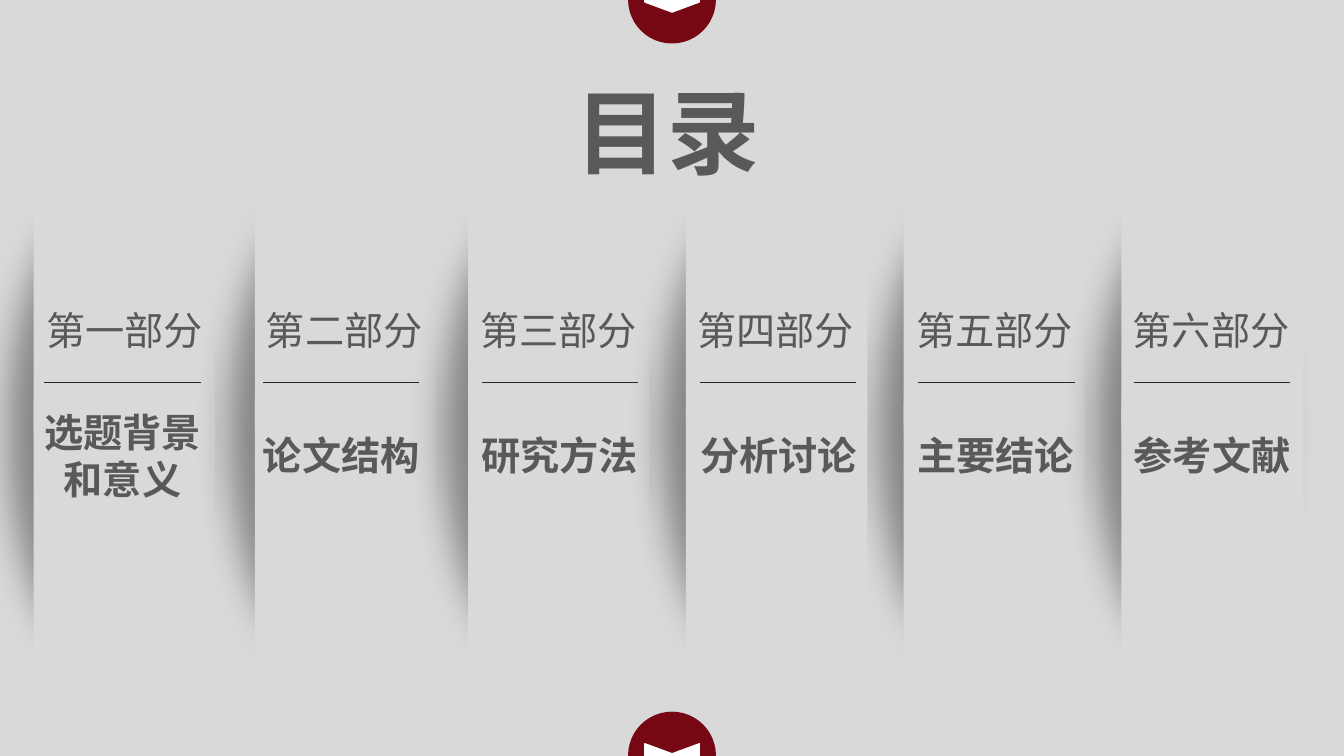
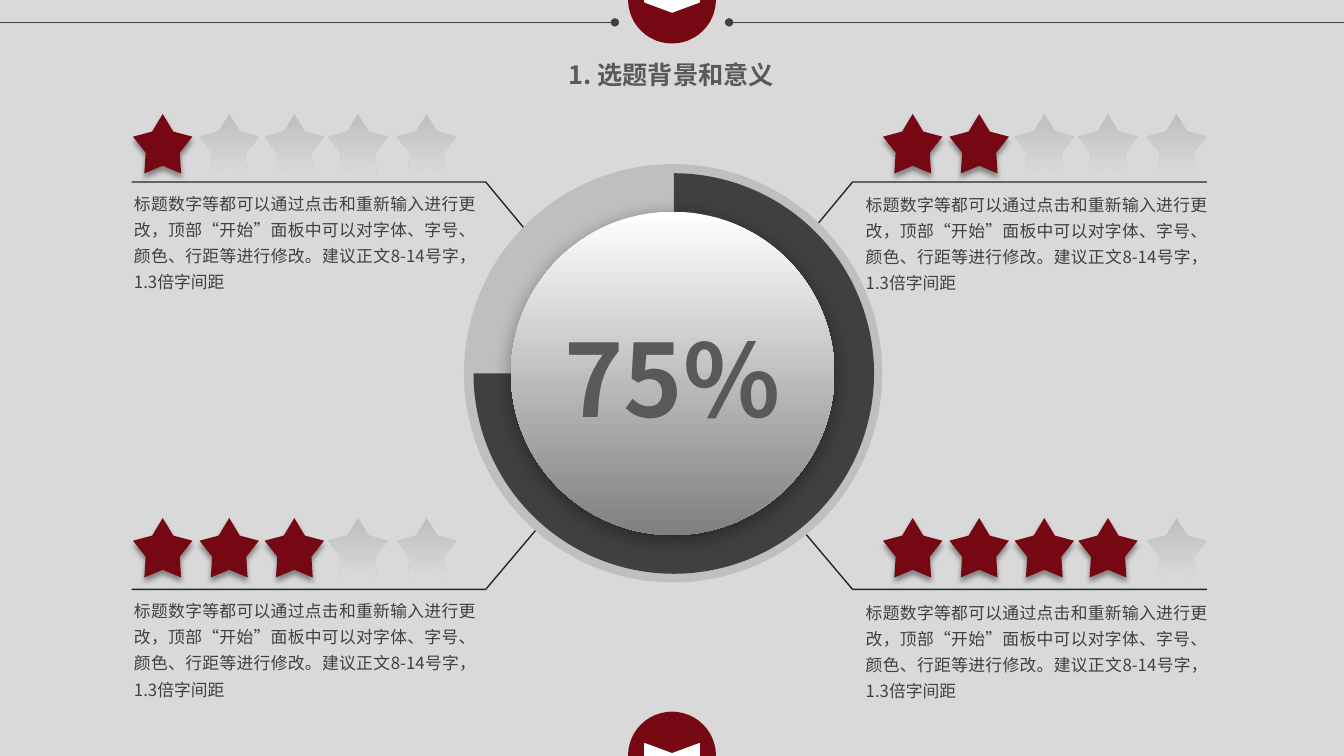
import lxml.etree
import pptx
import pptx.chart.data
import pptx.dml.color
import pptx.enum.chart
import pptx.enum.shapes
import pptx.enum.text
import pptx.oxml.ns
import pptx.util

Pt = pptx.util.Pt
qn = pptx.oxml.ns.qn
RGBColor = pptx.dml.color.RGBColor
MSO_SHAPE = pptx.enum.shapes.MSO_SHAPE
PP_ALIGN = pptx.enum.text.PP_ALIGN
STRAIGHT = pptx.enum.shapes.MSO_CONNECTOR.STRAIGHT

FONT = "Noto Sans CJK SC"
BACKGROUND = RGBColor(0xD9, 0xD9, 0xD9)
CRIMSON = RGBColor(0x75, 0x08, 0x13)
WHITE = RGBColor(0xFF, 0xFF, 0xFF)
BLACK = RGBColor(0x00, 0x00, 0x00)
INK = RGBColor(0x26, 0x26, 0x26)
CHARCOAL = RGBColor(0x40, 0x40, 0x40)
TITLE_GRAY = RGBColor(0x59, 0x59, 0x59)
MID_GRAY = RGBColor(0x80, 0x80, 0x80)
SILVER = RGBColor(0xBF, 0xBF, 0xBF)

EMPTY_STAR = [(0.03, SILVER), (1, BACKGROUND)]
DIAL_FACE = [(0, WHITE), (1, MID_GRAY)]


def add_shape(slide, kind, left, top, width, height, fill, shadow=None):
    shape = slide.shapes.add_shape(kind, Pt(left), Pt(top), Pt(width), Pt(height))
    shape.shadow.inherit = False
    shape.line.fill.background()
    if isinstance(fill, list):
        shape.fill.gradient()
        shape.fill.gradient_angle = 270
        for stop, (position, color) in zip(shape.fill.gradient_stops, fill):
            stop.position = position
            stop.color.rgb = color
    else:
        shape.fill.solid()
        shape.fill.fore_color.rgb = fill
    if shadow:
        blur, distance, angle = shadow
        effects = shape._element.spPr.find(qn("a:effectLst"))
        outer = lxml.etree.SubElement(
            effects, qn("a:outerShdw"), blurRad=str(Pt(blur)), dist=str(Pt(distance)),
            dir=str(angle * 60000), algn="ctr", rotWithShape="0")
        color = lxml.etree.SubElement(outer, qn("a:srgbClr"), val=str(BLACK))
        lxml.etree.SubElement(color, qn("a:alpha"), val="40000")
    return shape


def add_text(slide, text, left, top, width, height, size, color=TITLE_GRAY, bold=False,
             align=PP_ALIGN.LEFT, wrap=False, spacing=None):
    box = slide.shapes.add_textbox(Pt(left), Pt(top), Pt(width), Pt(height))
    frame = box.text_frame
    frame.text = text
    frame.word_wrap = wrap
    frame.auto_size = pptx.enum.text.MSO_AUTO_SIZE.SHAPE_TO_FIT_TEXT
    for paragraph in frame.paragraphs:
        paragraph.alignment = align
        paragraph.line_spacing = spacing
        for run in paragraph.runs:
            run.font.size = Pt(size)
            run.font.bold = bold
            run.font.color.rgb = color
            run.font.name = FONT
            lxml.etree.SubElement(run._r.get_or_add_rPr(), qn("a:ea"), typeface=FONT)


presentation = pptx.Presentation()
presentation.slide_width = Pt(960)
presentation.slide_height = Pt(540)
master_fill = presentation.slide_master.background.fill
master_fill.solid()
master_fill.fore_color.rgb = BACKGROUND
blank = presentation.slide_layouts[6]

contents = presentation.slides.add_slide(blank)
for left in (24, 182, 334.5, 645.5, 801, 490):
    add_shape(contents, MSO_SHAPE.OVAL, left, 137, 129.6, 319, BACKGROUND, (27, 21, 145))
    add_shape(contents, MSO_SHAPE.RECTANGLE, left, 95.4, 129.6, 414, BACKGROUND)

add_text(contents, "目录", 404, 50.4, 147.6, 87, 66, bold=True)

sections = [
    ("第一部分", "选题背景\n和意义", 25.9, 23.8, 31.7),
    ("第二部分", "论文结构", 182.9, 180, 187.9),
    ("第三部分", "研究方法", 336.2, 336.2, 344.2),
    ("第四部分", "分析讨论", 491, 492.5, 499.9),
    ("第五部分", "主要结论", 647.3, 647.3, 655.9),
    ("第六部分", "参考文献", 802.1, 802.1, 810),
]
for part, name, part_left, name_left, rule_left in sections:
    add_text(contents, part, part_left, 215.3, 127.4, 41, 28)
    two_lines = "\n" in name
    add_text(contents, name, name_left, 288 if two_lines else 304.6, 127.4,
             75 if two_lines else 41, 28, bold=True, align=PP_ALIGN.CENTER)
    rule = contents.shapes.add_connector(
        STRAIGHT, Pt(rule_left), Pt(272.9), Pt(rule_left + 111.7), Pt(272.9))
    rule.line.color.rgb = INK
    rule.line.width = Pt(0.5)

background_topic = presentation.slides.add_slide(blank)
for side in (-1, 1):
    for inner_y, elbow_y in ((188.6, 130.5), (363, 421)):
        builder = background_topic.shapes.build_freeform(
            478 + side * 82.5, inner_y, scale=Pt(1))
        builder.add_line_segments(
            [(478 + side * 131, elbow_y), (478 + side * 383.5, elbow_y)], close=False)
        leader = builder.convert_to_shape()
        leader.shadow.inherit = False
        leader.fill.background()
        leader.line.color.rgb = INK
        leader.line.width = Pt(1)

for start, end in ((0, 439.2), (960, 520.8)):
    header_line = background_topic.shapes.add_connector(
        STRAIGHT, Pt(start), Pt(16), Pt(end), Pt(16))
    header_line.line.color.rgb = CHARCOAL
    header_line.line.width = Pt(1.25)
    lxml.etree.SubElement(header_line.line._get_or_add_ln(), qn("a:tailEnd"), type="oval")

add_text(background_topic, "1. 选题背景和意义", 396, 38.9, 167, 29, 18, bold=True,
         align=PP_ALIGN.CENTER, wrap=True)

ring = add_shape(background_topic, MSO_SHAPE.DONUT, 331.4, 117.2, 298.8, 298.8, SILVER)
ring.adjustments[0] = 0.18

chart_data = pptx.chart.data.CategoryChartData()
chart_data.categories = ["1", "2"]
chart_data.add_series("Series 1", (75, 25))
chart = background_topic.shapes.add_chart(
    pptx.enum.chart.XL_CHART_TYPE.DOUGHNUT, Pt(252), Pt(113.8), Pt(458.6), Pt(306),
    chart_data).chart
chart.has_legend = False
chart.has_title = False
chart.font.name = FONT
chart.font.size = Pt(10)
chart.font.color.rgb = BLACK
plot = chart.plots[0]
plot.vary_by_categories = True
plot._element.find(qn("c:holeSize")).set("val", "52")
filled, remaining = (plot.series[0].points[index].format for index in range(2))
filled.fill.solid()
filled.fill.fore_color.rgb = CHARCOAL
filled.line.fill.background()
remaining.fill.background()
remaining.line.fill.background()

add_shape(background_topic, MSO_SHAPE.OVAL, 365, 151.2, 231, 231, DIAL_FACE, (14, 3, 90))
add_text(background_topic, "75%", 396, 222.5, 172, 94.3, 72, bold=True)

body = ("标题数字等都可以通过点击和重新输入进行更改，顶部“开始”面板中可以对字体、字号、"
        "颜色、行距等进行修改。建议正文8-14号字，1.3倍字间距")
ratings = [
    (1, 95, 81.4, 88.6, 130.3),
    (2, 630.7, 81.4, 611.3, 131),
    (3, 95, 370, 88.6, 421.2),
    (4, 630.7, 370, 611.3, 422.6),
]
for score, stars_left, stars_top, body_left, body_top in ratings:
    for index, offset in enumerate((0, 47.5, 94, 139.5, 188.5)):
        earned = index < score
        star = add_shape(background_topic, MSO_SHAPE.STAR_5_POINT, stars_left + offset,
                         stars_top, 42.5, 42.5, CRIMSON if earned else EMPTY_STAR,
                         (4, 3, 90) if earned else None)
        star.adjustments[0] = 0.287
    add_text(background_topic, body, body_left, body_top, 258.5, 82.8, 12, CHARCOAL,
             align=PP_ALIGN.JUSTIFY, wrap=True, spacing=1.3)

for slide in presentation.slides:
    for top in (508.3, -31.7):
        add_shape(slide, MSO_SHAPE.OVAL, 448.6, top, 62.8, 62.8, CRIMSON)
        chevron = add_shape(slide, MSO_SHAPE.CHEVRON, 471.4, top + 12.2, 17.3, 38.9, WHITE)
        chevron.rotation = 90
        chevron.adjustments[0] = 0.415
        chevron.line.color.rgb = WHITE
        chevron.line.width = Pt(1)
    for shape in slide.shapes:
        if shape.shape_type == pptx.enum.shapes.MSO_SHAPE_TYPE.LINE:
            lxml.etree.SubElement(shape._element.spPr, qn("a:effectLst"))

presentation.save("out.pptx")
